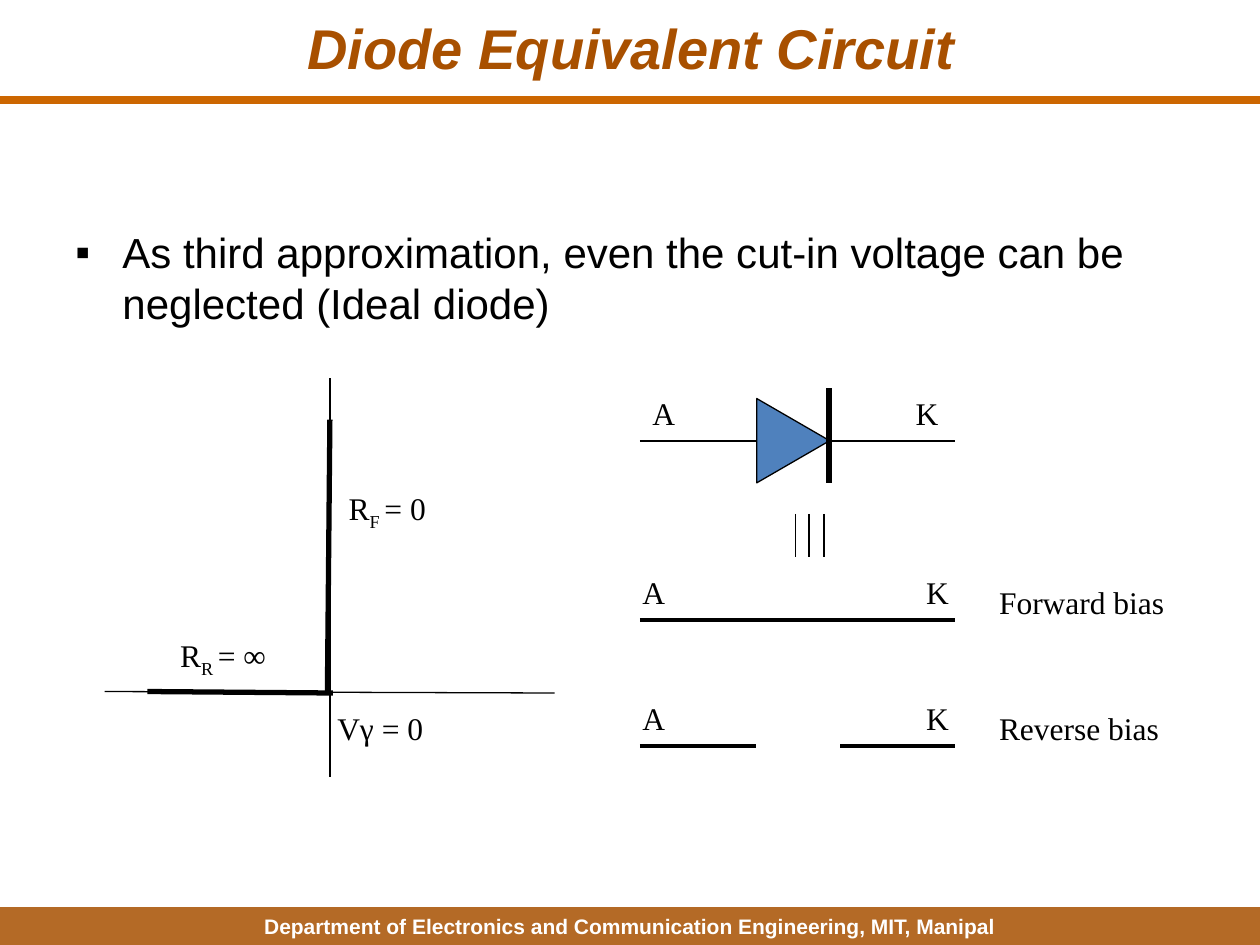
import pptx
import pptx.util
import pptx.dml.color
import pptx.enum.shapes
import pptx.enum.text
import pptx.oxml
import pptx.oxml.ns
from dataclasses import dataclass
from lxml import etree
from pptx.util import Cm

RGB = pptx.dml.color.RGBColor.from_string
CENTER = pptx.enum.text.PP_ALIGN.CENTER
MIDDLE = pptx.enum.text.MSO_ANCHOR.MIDDLE
SHAPE = pptx.enum.shapes.MSO_SHAPE


@dataclass(frozen=True)
class Theme:
    sans: str = "Arial"
    serif: str = "Times New Roman"
    brown: str = "A85000"
    orange: str = "CC6600"
    blue: str = "4F81BD"
    black: str = "000000"
    white: str = "FFFFFF"
    title_size: int = 32
    body_size: int = 24
    label_size: int = 18
    footer_size: int = 12
    thin: float = 0.75
    medium: float = 2.25
    thick: float = 3
    rule: float = 4.5


def sub_element(parent, tag, **attrs):
    return etree.SubElement(parent, pptx.oxml.ns.qn(tag), **attrs)


class SlideBuilder:
    def __init__(self, slide, theme):
        self.s = slide
        self.theme = theme

    def style(self, p, font, size, color, bold=False, italic=False):
        p.font.name = font
        p.font.size = pptx.util.Pt(size)
        p.font.bold = bold
        p.font.italic = italic
        p.font.color.rgb = RGB(color)

    def title(self, text, left, top, width, height):
        sp = self.s.shapes.title
        sp.left, sp.top, sp.width, sp.height = map(Cm, (left, top, width, height))
        tf = sp.text_frame
        tf.text = text
        tf.vertical_anchor = MIDDLE
        p = tf.paragraphs[0]
        p.alignment = CENTER
        self.style(p, self.theme.sans, self.theme.title_size, self.theme.brown, True, True)

    def text_box(self, left, top, width, height):
        """Add a wrapping text box and return its first paragraph."""
        sp = self.s.shapes.add_textbox(Cm(left), Cm(top), Cm(width), Cm(height))
        sp.text_frame.word_wrap = True
        return sp.text_frame.paragraphs[0]

    def bullet(self, text, left, top, width, height):
        p = self.text_box(left, top, width, height)
        p.text = text
        pPr = p._p.get_or_add_pPr()
        indent = Cm(0.95)
        pPr.set("marL", str(indent))
        pPr.set("indent", str(-indent))
        sub_element(pPr, "a:buFont", typeface=self.theme.sans)
        sub_element(pPr, "a:buChar", char="▪")
        self.style(p, self.theme.sans, self.theme.body_size, self.theme.black)

    def label(self, left, top, width, text, subscript="", rest=""):
        p = self.text_box(left, top, width, 1.02)
        for part in filter(None, (text, subscript, rest)):
            r = p.add_run()
            r.text = part
            if part is subscript:
                r._r.get_or_add_rPr().set("baseline", "-25000")
        self.style(p, self.theme.serif, self.theme.label_size, self.theme.black)

    def line(self, x1, y1, x2, y2, weight, color=None):
        sp = self.s.shapes.add_connector(
            pptx.enum.shapes.MSO_CONNECTOR.STRAIGHT, Cm(x1), Cm(y1), Cm(x2), Cm(y2))
        sp.line.color.rgb = RGB(color or self.theme.black)
        sp.line.width = pptx.util.Pt(weight)
        sub_element(sp._element.spPr, "a:effectLst")

    def shape(self, kind, left, top, width, height, fill):
        sp = self.s.shapes.add_shape(kind, Cm(left), Cm(top), Cm(width), Cm(height))
        sp.shadow.inherit = False
        sp.fill.solid()
        sp.fill.fore_color.rgb = RGB(fill)
        return sp

    def triangle(self, left, top, width, height):
        sp = self.shape(SHAPE.ISOSCELES_TRIANGLE, left, top, width, height, self.theme.blue)
        sp.rotation = 90
        sp.line.color.rgb = RGB(self.theme.black)
        sp.line.width = pptx.util.Pt(self.theme.thin)

    def footer(self, text):
        box = (0, 18.29, 25.4, 0.76)
        sp = self.shape(SHAPE.RECTANGLE, *box, self.theme.brown)
        sp.line.fill.background()
        color = sp._element.spPr.find(".//" + pptx.oxml.ns.qn("a:srgbClr"))
        sub_element(color, "a:alpha", val="85000")
        p = self.text_box(*box)
        p.text = text
        p.alignment = CENTER
        self.style(p, self.theme.sans, self.theme.footer_size, self.theme.white, True)


def draw_characteristic(b):
    """Draw the ideal diode's current-voltage curve on its axes."""
    t = b.theme
    b.line(6.65, 7.62, 6.65, 15.67, t.thin)
    b.line(2.11, 13.94, 11.18, 13.97, t.thin)
    b.line(2.97, 13.94, 6.71, 13.97, t.thick)
    b.line(6.6, 13.94, 6.65, 8.46, t.thick)
    b.label(6.55, 14.17, 2.49, "Vγ = 0")
    b.label(3.38, 12.7, 2.95, "R", "R ", "= ∞")
    b.label(6.78, 9.73, 2.95, "R", "F ", "= 0")


def draw_equivalents(b):
    """Draw the diode symbol above its forward and reverse bias switches."""
    t = b.theme
    left, right, bar = 12.9, 19.25, 16.71
    b.line(left, 8.89, 15.24, 8.89, t.thin)
    b.triangle(15.14, 8.15, 1.7, 1.47)
    b.line(bar, 9.73, bar, 7.82, t.thick)
    b.line(bar, 8.89, right, 8.89, t.thin)
    for x in (16.03, 16.31, 16.61):
        b.line(x, 10.36, x, 11.23, t.thin)
    for y, anode_end, cathode_start, name in (
            (12.5, 16.08, 15.75, "Forward bias"),
            (15.04, 15.24, 16.94, "Reverse bias")):
        b.line(left, y, anode_end, y, t.medium)
        b.line(cathode_start, y, right, y, t.medium)
        b.label(19.89, y - 0.87, 4.88, name)
    for y, anode, cathode in ((7.82, 12.9, 18.21), (11.43, 12.7, 18.42), (13.97, 12.7, 18.42)):
        b.label(anode, y, 1.47, "A")
        b.label(cathode, y, 1.47, "K")


def main():
    prs = pptx.Presentation()
    prs.slide_width, prs.slide_height = Cm(25.4), Cm(19.05)
    b = SlideBuilder(prs.slides.add_slide(prs.slide_layouts[5]), Theme())
    b.footer("Department of Electronics and Communication Engineering, MIT, Manipal")
    b.line(0, 2.01, 25.48, 2.01, b.theme.rule, b.theme.orange)
    b.title("Diode Equivalent Circuit", 1.3, -0.2, 22.86, 2.29)
    b.bullet("As third approximation, even the cut-in voltage can be neglected (Ideal diode)",
             1.27, 4.45, 22.86, 2.74)
    draw_equivalents(b)
    draw_characteristic(b)
    prs.save("out.pptx")


if __name__ == "__main__":
    main()
